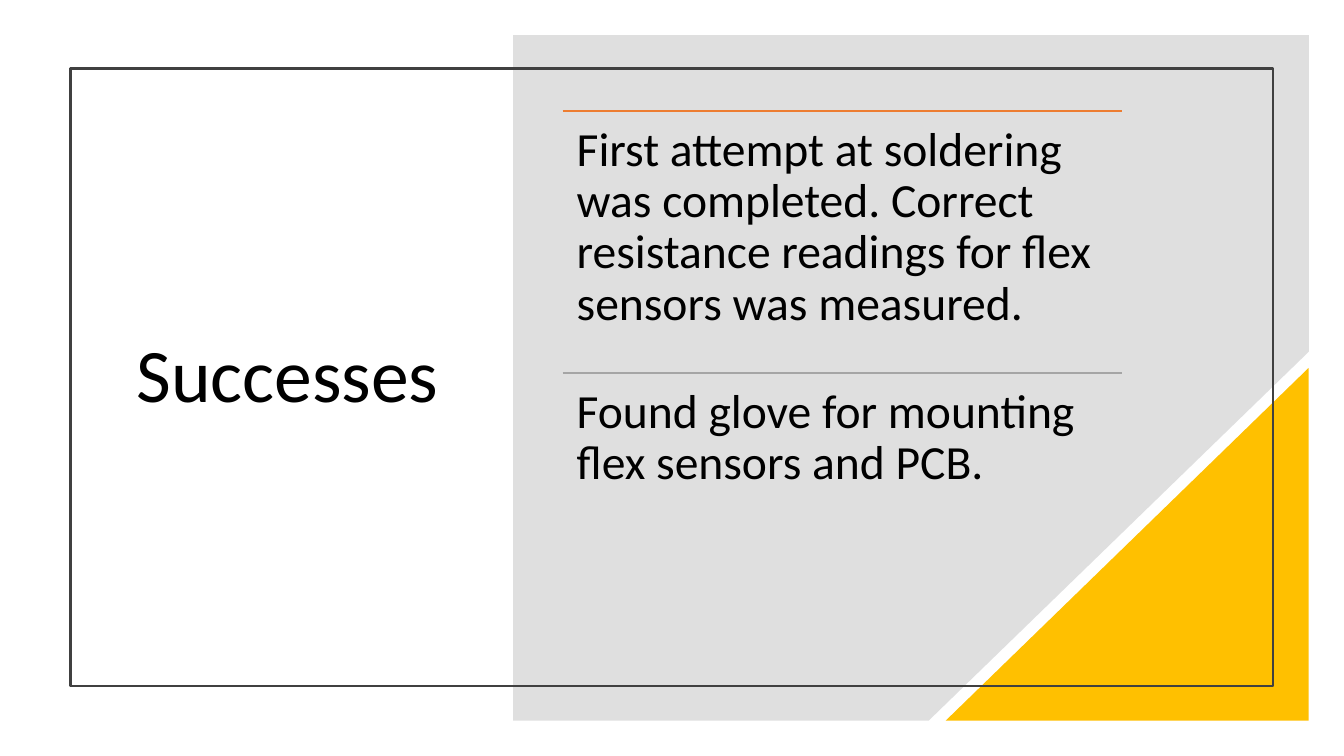
import pptx
import pptx.util
import pptx.dml.color
import pptx.enum.shapes
import pptx.enum.text
import pptx.oxml.ns
from dataclasses import dataclass
from lxml import etree

Inches = pptx.util.Inches
Pt = pptx.util.Pt
Shapes = pptx.enum.shapes.MSO_SHAPE
Align = pptx.enum.text.PP_ALIGN
Anchor = pptx.enum.text.MSO_ANCHOR


@dataclass(frozen=True)
class Theme:
    font: str = "Calibri"
    title_size: int = 54
    body_size: int = 34
    text: str = "000000"
    panel: str = "808080"
    corner: str = "FFC000"
    frame: str = "404040"


THEME = Theme()
SUCCESSES = [
    ("ED7D31", "First attempt at soldering was completed. "
               "Correct resistance readings for flex sensors was measured."),
    ("A5A5A5", "Found glove for mounting flex sensors and PCB."),
]


def rgb(color):
    return pptx.dml.color.RGBColor.from_string(color)


def add_panel(page, points, color, opacity):
    corners = [(Inches(x), Inches(y)) for x, y in points]
    builder = page.shapes.build_freeform(*corners[0])
    builder.add_line_segments(corners[1:], close=True)
    panel = builder.convert_to_shape()
    panel.shadow.inherit = False
    panel.line.fill.background()
    panel.fill.solid()
    panel.fill.fore_color.rgb = rgb(color)
    tint = panel.fill._xPr.find(".//" + pptx.oxml.ns.qn("a:srgbClr"))
    etree.SubElement(tint, pptx.oxml.ns.qn("a:alpha"), val=str(opacity * 1000))


def add_corner(page, left, top, width, height, color):
    corner = page.shapes.add_shape(
        Shapes.RIGHT_TRIANGLE, Inches(left), Inches(top), Inches(width), Inches(height))
    corner.shadow.inherit = False
    corner.fill.solid()
    corner.fill.fore_color.rgb = rgb(color)
    corner.line.fill.background()
    corner._element.spPr.xfrm.set("flipH", "1")


def add_frame(page, left, top, width, height, color):
    frame = page.shapes.add_shape(
        Shapes.RECTANGLE, Inches(left), Inches(top), Inches(width), Inches(height))
    frame.shadow.inherit = False
    frame.fill.background()
    frame.line.color.rgb = rgb(color)
    frame.line.width = Pt(1.5)


def add_rule(page, left, top, width, color):
    rule = page.shapes.add_connector(
        pptx.enum.shapes.MSO_CONNECTOR.STRAIGHT,
        Inches(left), Inches(top), Inches(left + width), Inches(top))
    rule.line.color.rgb = rgb(color)
    rule.line.width = Pt(1)
    etree.SubElement(rule._element.spPr, pptx.oxml.ns.qn("a:effectLst"))


def add_text(page, left, top, width, height, text, size,
             align=Align.LEFT, anchor=Anchor.TOP, inset=0.14):
    box = page.shapes.add_textbox(Inches(left), Inches(top), Inches(width), Inches(height))
    frame = box.text_frame
    frame.word_wrap = True
    frame.vertical_anchor = anchor
    frame.margin_left = frame.margin_right = Inches(inset)
    frame.margin_top = frame.margin_bottom = Inches(inset)
    para = frame.paragraphs[0]
    para.text = text
    para.alignment = align
    para.line_spacing = 0.9
    para.font.name = THEME.font
    para.font.size = Pt(size)
    para.font.color.rgb = rgb(THEME.text)


def add_success(page, left, top, width, height, color, text):
    add_rule(page, left, top, width, color)
    add_text(page, left, top, width, height, text, THEME.body_size)


def main():
    deck = pptx.Presentation()
    deck.slide_width = Inches(13.33)
    deck.slide_height = Inches(7.5)
    page = deck.slides.add_slide(deck.slide_layouts[6])

    add_text(page, 1.1, 1.3, 3.35, 4.9, "Successes", THEME.title_size,
             Align.RIGHT, Anchor.MIDDLE, 0.1)
    outline = [(5.09, 0.35), (12.98, 0.35), (12.98, 3.49), (9.21, 7.15), (5.09, 7.15)]
    add_panel(page, outline, THEME.panel, 25)
    add_corner(page, 9.38, 3.65, 3.6, 3.5, THEME.corner)
    add_frame(page, 0.7, 0.68, 11.93, 6.13, THEME.frame)

    first_top, height = 1.1, 2.6
    for index, (color, text) in enumerate(SUCCESSES):
        add_success(page, 5.58, first_top + index * height, 5.55, height, color, text)

    deck.save("out.pptx")


if __name__ == "__main__":
    main()
